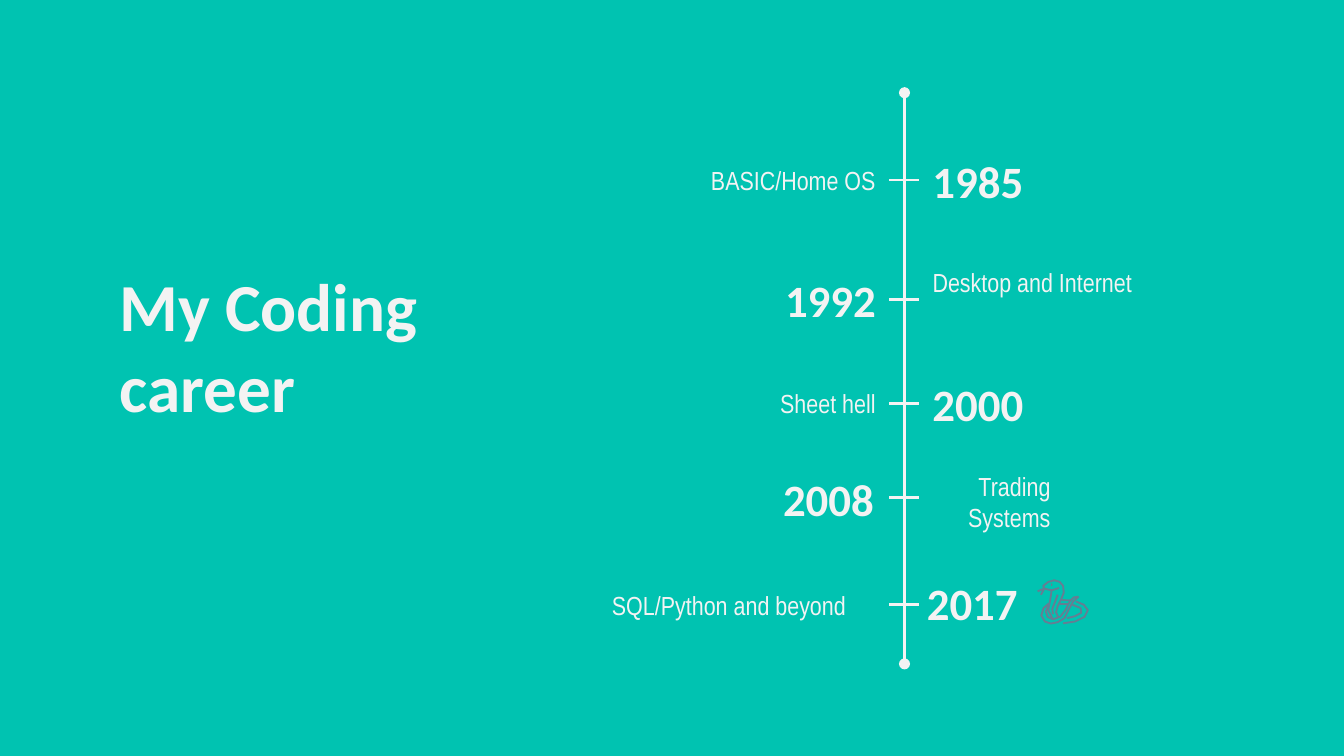
from lxml.etree import SubElement
from pptx import Presentation
from pptx.dml.color import RGBColor
from pptx.enum.shapes import MSO_CONNECTOR, MSO_SHAPE
from pptx.enum.text import MSO_ANCHOR, PP_ALIGN
from pptx.oxml.ns import qn
from pptx.util import Inches, Pt

CELL = Inches(0.1)
COLUMNS, ROWS = 100, 56.25
LIGHT, TEAL, SLATE = "F3F3F3", "00C3B1", "657E93"
AXIS = 67.3
LEFT_COLUMN, RIGHT_COLUMN = 43.55, 68.4
BOX_WIDTH, BOX_HEIGHT = 22.6, 6.9
TICK_START, TICK_END = 66.15, 68.4
LABEL = ("Arial Narrow", 14, False)
YEAR = ("Calibri", 24, True)
TITLE = ("Calibri", 36, True)

MILESTONES = [
    (13.4,
     dict(text="BASIC/Home OS", style=LABEL, top=9.95, align=PP_ALIGN.RIGHT),
     dict(text="1985", style=YEAR, top=9.95), True),
    (22.3,
     dict(text="1992", style=YEAR, top=18.85, align=PP_ALIGN.RIGHT),
     dict(text="Desktop and Internet", style=LABEL, top=18.85, width=17.5,
          anchor=MSO_ANCHOR.TOP), True),
    (30,
     dict(text="Sheet hell", style=LABEL, top=26.55, align=PP_ALIGN.RIGHT),
     dict(text="2000", style=YEAR, top=26.55), True),
    (37,
     dict(text="2008", style=YEAR, left=43.4, top=33.65, align=PP_ALIGN.RIGHT),
     dict(text="Trading Systems", style=LABEL, left=68.55, top=33.85,
          width=10.6, align=PP_ALIGN.RIGHT), False),
    (45,
     dict(text="SQL/Python and beyond", style=LABEL, left=44.55, top=41.6),
     dict(text="2017", style=YEAR, left=67.4, top=41.4, width=9.3,
          align=PP_ALIGN.RIGHT), False),
]

SNAKE_LEFT, SNAKE_TOP = 77.2, 43.1
SNAKE_STROKES = [
    [(0, 90), (50, 70), (42, 50), (80, 20), (125, 8), (165, 20), (190, 50),
     (195, 100), (175, 150), (150, 200), (138, 245), (155, 285)],
    [(25, 115), (50, 70), (105, 82), (160, 65)],
    [(105, 85), (95, 150), (80, 230), (110, 290)],
    [(150, 115), (130, 170), (110, 220), (115, 260)],
    [(85, 180), (45, 215), (28, 270), (55, 315), (100, 330), (150, 320),
     (200, 290), (235, 220), (265, 165), (305, 130)],
    [(80, 200), (62, 240), (75, 280), (115, 298), (170, 278), (210, 225),
     (240, 165), (270, 135), (305, 130)],
    [(285, 165), (345, 190), (375, 230), (350, 280), (280, 315), (190, 328)],
    [(260, 190), (320, 215), (325, 250), (280, 275), (220, 290)],
    [(180, 155), (250, 158)],
    [(165, 187), (230, 187)],
]


def cells(count):
    return int(round(count * CELL))


def color(value):
    return RGBColor.from_string(value)


def add_text(slide, text, style, left, top, width=BOX_WIDTH, height=BOX_HEIGHT,
             align=PP_ALIGN.LEFT, anchor=MSO_ANCHOR.MIDDLE):
    shape = slide.shapes.add_textbox(*map(cells, (left, top, width, height)))
    frame = shape.text_frame
    frame.word_wrap = True
    frame.vertical_anchor = anchor
    frame.margin_left = frame.margin_right = CELL
    frame.margin_top = frame.margin_bottom = CELL
    paragraph = frame.paragraphs[0]
    paragraph.alignment = align
    run = paragraph.add_run()
    run.text = text
    run.font.name, size, run.font.bold = style
    run.font.size = Pt(size)
    run.font.color.rgb = color(LIGHT)
    return shape


def add_line(slide, start, end, ends=None):
    connector = slide.shapes.add_connector(
        MSO_CONNECTOR.STRAIGHT, *map(cells, start + end))
    connector.line.color.rgb = color(LIGHT)
    connector.line.width = Pt(1.5)
    properties = connector._element.spPr
    if ends:
        line = properties.find(qn("a:ln"))
        for tag in ("a:headEnd", "a:tailEnd"):
            SubElement(line, qn(tag), type=ends)
    SubElement(properties, qn("a:effectLst"))
    return connector


def add_milestone(slide, row, left_text, right_text, joined):
    left_box = add_text(slide, **{"left": LEFT_COLUMN, **left_text})
    right_box = add_text(slide, **{"left": RIGHT_COLUMN, **right_text})
    tick = add_line(slide, (TICK_START, row), (TICK_END, row))
    if joined:
        tick.begin_connect(left_box, 3)
        tick.end_connect(right_box, 1)


def add_snake(slide):
    group = slide.shapes.add_group_shape()
    for start, *points in SNAKE_STROKES:
        builder = group.shapes.build_freeform(*start, scale=CELL / 100)
        builder.add_line_segments(points, close=False)
        stroke = builder.convert_to_shape(cells(SNAKE_LEFT), cells(SNAKE_TOP))
        stroke.fill.background()
        stroke.line.color.rgb = color(SLATE)
        stroke.line.width = Pt(1)
        stroke.shadow.inherit = False
    eye = group.shapes.add_shape(
        MSO_SHAPE.OVAL, *map(cells, (78.2, 43.4, 0.1, 0.2)))
    eye.fill.solid()
    eye.fill.fore_color.rgb = color(SLATE)
    eye.line.fill.background()
    eye.shadow.inherit = False


def main():
    presentation = Presentation()
    presentation.slide_width = cells(COLUMNS)
    presentation.slide_height = cells(ROWS)
    slide = presentation.slides.add_slide(presentation.slide_layouts[6])
    slide.background.fill.solid()
    slide.background.fill.fore_color.rgb = color(TEAL)
    add_text(slide, "My Coding career", TITLE, 7.9, 18.7, 30.2, 18.9,
             anchor=MSO_ANCHOR.TOP)
    add_line(slide, (AXIS, 6.9), (AXIS, 49.4), ends="oval")
    for milestone in MILESTONES:
        add_milestone(slide, *milestone)
    add_snake(slide)
    presentation.save("out.pptx")


if __name__ == "__main__":
    main()
